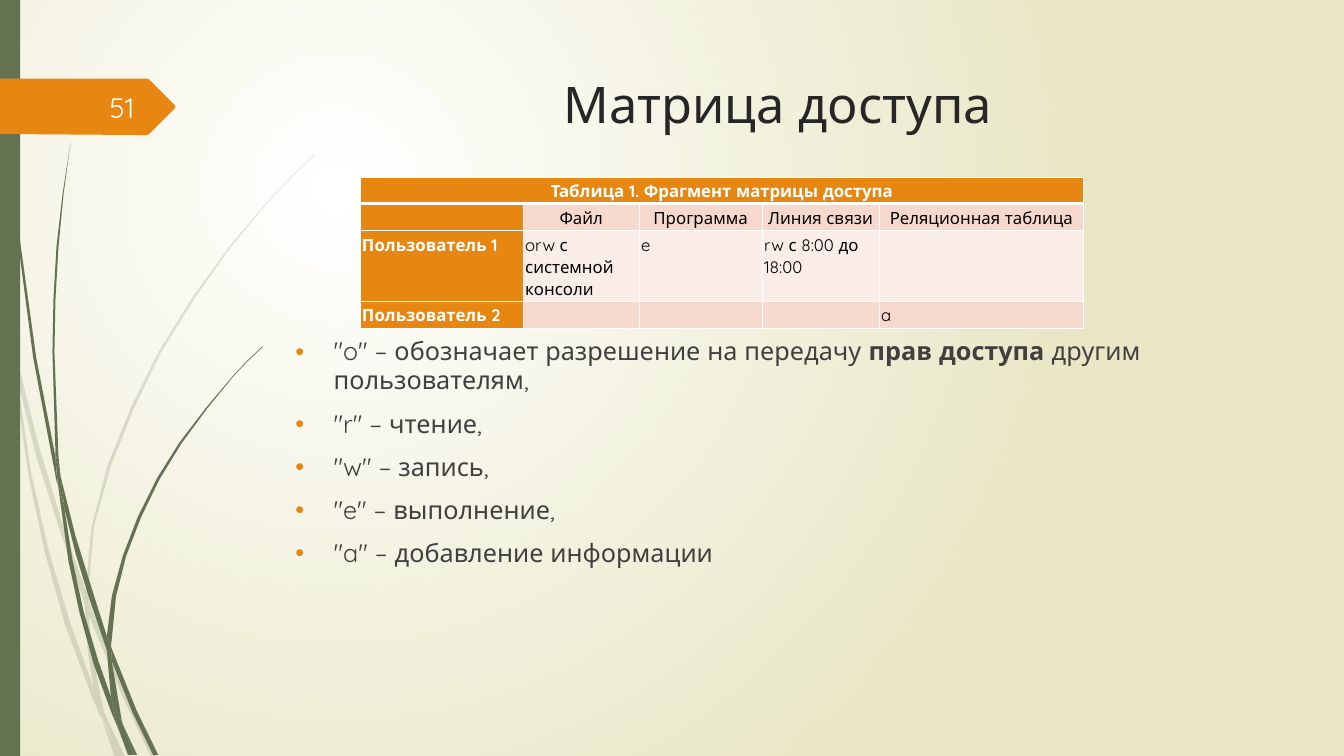
from dataclasses import dataclass, field

from lxml import etree
from pptx import Presentation
from pptx.dml.color import RGBColor
from pptx.enum.shapes import MSO_SHAPE
from pptx.enum.text import MSO_ANCHOR, PP_ALIGN
from pptx.oxml.ns import qn
from pptx.slide import Slide
from pptx.util import Inches, Pt

RECT = MSO_SHAPE.RECTANGLE
TOP, MIDDLE = MSO_ANCHOR.TOP, MSO_ANCHOR.MIDDLE
LEFT, CENTER, RIGHT = PP_ALIGN.LEFT, PP_ALIGN.CENTER, PP_ALIGN.RIGHT

WHITE = RGBColor(0xFF, 0xFF, 0xFF)
NEAR_WHITE = RGBColor(0xFE, 0xFF, 0xFF)
BLACK = RGBColor(0x00, 0x00, 0x00)
INK = RGBColor(0x26, 0x26, 0x26)
BODY = RGBColor(0x40, 0x40, 0x40)
SAND = RGBColor(0xE8, 0xE6, 0xC4)
GREEN = RGBColor(0x64, 0x72, 0x52)
ORANGE = RGBColor(0xE7, 0x87, 0x12)
PEACH = RGBColor(0xF6, 0xD9, 0xCC)
PALE = RGBColor(0xFA, 0xED, 0xE7)

FONT = "Quicksand"
COLS, ROWS = 1333, 750
CELL = Inches(0.01)

Point = tuple[int, int]
Outline = tuple[Point, ...]


@dataclass(frozen=True)
class Area:
    col: int
    row: int
    cols: int
    rows: int

    def emu(self) -> tuple[int, int, int, int]:
        return self.col * CELL, self.row * CELL, self.cols * CELL, self.rows * CELL


@dataclass(frozen=True)
class Style:
    color: RGBColor
    size: int
    bold: bool = False


@dataclass(frozen=True)
class TextBlock:
    area: Area
    style: Style
    paragraphs: tuple[tuple[str, ...], ...]
    align: PP_ALIGN = LEFT
    frame: dict = field(default_factory=dict)
    bulleted: bool = False


@dataclass(frozen=True)
class TableRow:
    height: int
    texts: tuple[str, ...]
    fill: RGBColor
    align: PP_ALIGN = LEFT
    anchor: MSO_ANCHOR = TOP


PALE_WISPS: tuple[Outline, ...] = (
    ((11, 350), (9, 322), (0, 282), (0, 299), (10, 344)),
    ((58, 522), (84, 599), (85, 586), (62, 520), (37, 437), (14, 345), (17, 376), (36, 453)),
    ((92, 607), (88, 596), (88, 610), (123, 694), (150, 751), (155, 751), (127, 692)),
    ((119, 751), (124, 751), (105, 711)),
    ((93, 683), (70, 619), (48, 545), (31, 469), (17, 376), (11, 350), (28, 470), (44, 546),
     (65, 621), (92, 693), (101, 714), (99, 707)),
    ((84, 599), (87, 646), (93, 683), (96, 692), (105, 711), (103, 706), (91, 646), (88, 608)),
    ((88, 584), (93, 523), (110, 462), (133, 405), (160, 349), (193, 296), (229, 245), (268, 198),
     (290, 175), (312, 154), (312, 153), (289, 175), (268, 197), (228, 244), (191, 295),
     (158, 348), (130, 404), (107, 461), (91, 522), (85, 584), (85, 586), (88, 596)),
    ((101, 714), (114, 751), (119, 751)),
    ((88, 608), (88, 596), (85, 586), (84, 599)),
    ((96, 692), (93, 683), (99, 707), (119, 751), (105, 711)),
)
DARK_WISPS: tuple[Outline, ...] = (
    ((7, 110), (17, 233), (33, 355), (56, 477), (57, 481), (55, 453), (36, 355), (19, 232),
     (8, 109), (5, 48), (4, 0), (3, 0), (4, 48)),
    ((88, 592), (106, 645), (106, 631), (93, 590), (75, 532), (60, 472), (64, 505), (75, 549)),
    ((113, 649), (110, 641), (111, 656), (132, 708), (152, 749), (157, 749), (136, 706)),
    ((110, 691), (98, 657), (83, 607), (72, 556), (64, 505), (57, 477), (68, 557), (79, 608),
     (93, 659), (111, 708), (117, 722), (116, 717)),
    ((60, 472), (58, 453), (54, 349), (55, 297), (58, 245), (63, 193), (70, 141), (62, 193),
     (56, 245), (53, 297), (52, 349), (55, 449)),
    ((133, 749), (136, 749), (122, 719)),
    ((57, 477), (64, 505), (60, 472), (55, 449), (55, 453)),
    ((111, 633), (115, 592), (125, 552), (140, 513), (158, 476), (180, 440), (205, 406),
     (231, 374), (245, 359), (261, 344), (260, 344), (245, 358), (231, 373), (204, 405),
     (178, 439), (156, 474), (137, 512), (122, 551), (111, 591), (106, 631), (110, 641)),
    ((117, 722), (127, 749), (131, 749)),
    ((106, 645), (110, 691), (116, 706), (122, 719), (121, 716), (111, 656), (109, 651)),
    ((106, 645), (111, 656), (110, 641), (106, 631)),
    ((116, 706), (110, 691), (117, 722), (130, 749), (133, 749), (122, 719)),
)
NUMBER_ARROW: Outline = (
    (173, 108), (148, 133), (146, 134), (136, 134), (0, 133), (0, 78),
    (146, 78), (148, 79), (173, 104), (174, 106),
)
SIDE_BAR = Area(0, 0, 20, ROWS)

TEXTS = (
    TextBlock(Area(284, 68, 975, 140), Style(INK, 36), (("Матрица доступа",),), CENTER),
    TextBlock(
        Area(283, 155, 975, 491),
        Style(BODY, 18),
        (
            ("\"o\" – обозначает разрешение на передачу ", "прав доступа ", "другим пользователям,"),
            ("\"r\" – чтение,",),
            ("\"w\" – запись,",),
            ("\"e\" – выполнение,",),
            ("\"a\" – добавление информации",),
        ),
        frame={"margin_top": Inches(1.8)},
        bulleted=True,
    ),
    TextBlock(Area(58, 86, 85, 40), Style(NEAR_WHITE, 20), (("51",),), RIGHT,
              {"vertical_anchor": MIDDLE}),
)

TABLE_AREA = Area(357, 176, 718, 150)
TABLE_COLUMNS = (162, 115, 122, 116, 203)
TABLE_ROWS = (
    TableRow(26, ("Таблица 1. Фрагмент матрицы доступа", "", "", "", ""), ORANGE, CENTER, MIDDLE),
    TableRow(27, ("", "Файл", "Программа", "Линия связи", "Реляционная таблица"), PEACH, CENTER, MIDDLE),
    TableRow(70, ("Пользователь 1", "orw с системной консоли", "e", "rw с 8:00 до 18:00", ""), PALE),
    TableRow(27, ("Пользователь 2", "", "", "", "a"), PEACH),
)
CELL_MARGINS = {f"margin_{side}": Inches(0.02) for side in ("left", "top", "right", "bottom")}


def add_xml(parent, tag: str, **attrs: str):
    return etree.SubElement(parent, qn(tag), attrs)


def apply(target, values: dict) -> None:
    for name, value in values.items():
        setattr(target, name, value)


def add_run(p, text: str, style: Style, bold: bool) -> None:
    r = p.add_run()
    r.text = text
    apply(r.font, {"name": FONT, "size": Pt(style.size), "bold": bold})
    r.font.color.rgb = style.color


def paint(sp, color: RGBColor) -> None:
    sp.shadow.inherit = False
    sp.fill.solid()
    sp.fill.fore_color.rgb = color
    sp.line.fill.background()


def paint_background(s: Slide) -> None:
    fill = s.background.fill
    fill.gradient()
    for stop, color in zip(fill.gradient_stops, (WHITE, SAND)):
        stop.color.rgb = color
    grad = next(s.element.iter(qn("a:gradFill")))
    grad.remove(grad.find(qn("a:lin")))
    circle = add_xml(grad, "a:path", path="circle")
    add_xml(circle, "a:fillToRect", l="50000", t="50000", r="100000", b="100000")


def add_outline(shapes, outline: Outline, color: RGBColor, opacity: int = 100) -> None:
    builder = shapes.build_freeform(*outline[0], scale=float(CELL))
    builder.add_line_segments(outline[1:], close=True)
    sp = builder.convert_to_shape()
    paint(sp, color)
    if opacity < 100:
        add_xml(next(sp.element.spPr.iter(qn("a:srgbClr"))), "a:alpha", val=str(opacity * 1000))


def add_bullet(p) -> None:
    pPr = p._p.get_or_add_pPr()
    apply(p, {"space_before": Pt(10), "line_spacing": 0.96})
    pPr.set("marL", str(Inches(0.38)))
    pPr.set("indent", str(-Inches(0.38)))
    add_xml(add_xml(pPr, "a:buClr"), "a:srgbClr", val=str(ORANGE))
    add_xml(pPr, "a:buFont", typeface="Arial")
    add_xml(pPr, "a:buChar", char="•")


def add_text(s: Slide, block: TextBlock) -> None:
    tf = s.shapes.add_textbox(*block.area.emu()).text_frame
    apply(tf, {"word_wrap": True, "vertical_anchor": TOP} | block.frame)
    for i, runs in enumerate(block.paragraphs):
        p = tf.add_paragraph() if i else tf.paragraphs[0]
        p.alignment = block.align
        if block.bulleted:
            add_bullet(p)
        for j, text in enumerate(runs):
            add_run(p, text, block.style, bold=j == 1)


def add_borders(cell, bottom: int) -> None:
    tcPr = cell._tc.get_or_add_tcPr()
    for side, width in {"L": 1, "R": 1, "T": 1, "B": bottom}.items():
        ln = add_xml(tcPr, f"a:ln{side}", w=str(Pt(width)))
        add_xml(add_xml(ln, "a:solidFill"), "a:srgbClr", val=str(WHITE))


def add_matrix(s: Slide) -> None:
    table = s.shapes.add_table(len(TABLE_ROWS), len(TABLE_COLUMNS), *TABLE_AREA.emu()).table
    apply(table, {"first_row": False, "horz_banding": False})
    for column, width in zip(table.columns, TABLE_COLUMNS):
        column.width = width * CELL
    for i, row in enumerate(TABLE_ROWS):
        table.rows[i].height = row.height * CELL
        for j, text in enumerate(row.texts):
            cell = table.cell(i, j)
            heading = i == 0 or j == 0
            apply(cell, CELL_MARGINS | {"vertical_anchor": row.anchor})
            add_borders(cell, bottom=1 if i else 3)
            cell.fill.solid()
            cell.fill.fore_color.rgb = ORANGE if heading else row.fill
            p = cell.text_frame.paragraphs[0]
            apply(p, {"alignment": row.align, "line_spacing": 1.07})
            if text:
                add_run(p, text, Style(WHITE if heading else BLACK, 12), heading)
            else:
                add_xml(p._p, "a:endParaRPr", sz="1200")
    table.cell(0, 0).merge(table.cell(0, len(TABLE_COLUMNS) - 1))


def main() -> None:
    prs = Presentation()
    apply(prs, {"slide_width": COLS * CELL, "slide_height": ROWS * CELL})
    s = prs.slides.add_slide(prs.slide_layouts[6])
    paint_background(s)
    for wisps, opacity in ((PALE_WISPS, 20), (DARK_WISPS, 100)):
        group = s.shapes.add_group_shape()
        for outline in wisps:
            add_outline(group.shapes, outline, GREEN, opacity)
    paint(s.shapes.add_shape(RECT, *SIDE_BAR.emu()), GREEN)
    add_outline(s.shapes, NUMBER_ARROW, ORANGE)
    for block in TEXTS:
        add_text(s, block)
    add_matrix(s)
    prs.save("out.pptx")


if __name__ == "__main__":
    main()
